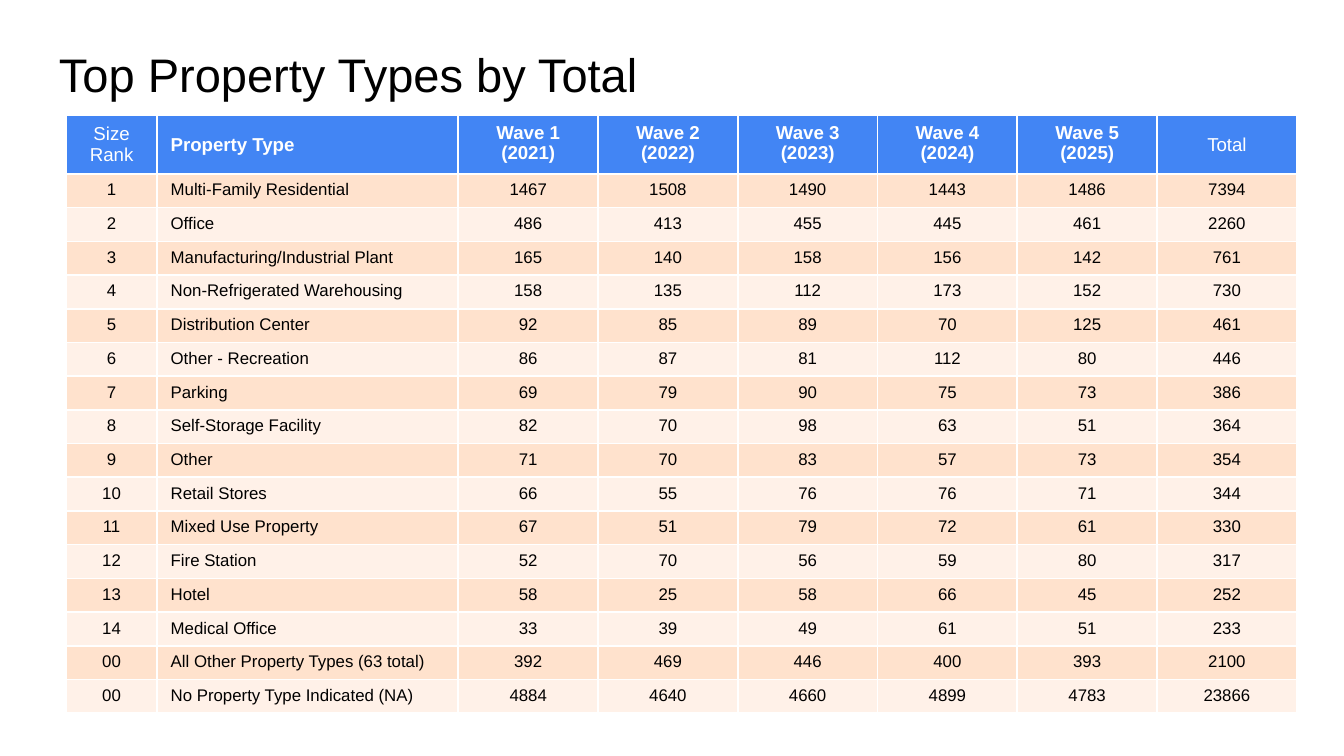
from pptx import Presentation
from pptx.dml.color import RGBColor
from pptx.enum import text
from pptx.util import Inches, Pt

COLORS = {
    "ink": "000000",
    "white": "FFFFFF",
    "header": "4285F4",
    "band_dark": "FFE2CD",
    "band_light": "FFF1E8",
}
FONT = "Arial"
WAVES = [f"Wave {number} ({2020 + number})" for number in range(1, 6)]
HEADERS = ["Size Rank", "Property Type", *WAVES, "Total"]
PLAIN_HEADERS = ("Size Rank", "Total")
COLUMN_WIDTHS = [0.68, 2.24] + [1.04] * 6
ROW_HEIGHT = 0.2
PROPERTY_COUNTS = [
    ("1", "Multi-Family Residential", 1467, 1508, 1490, 1443, 1486),
    ("2", "Office", 486, 413, 455, 445, 461),
    ("3", "Manufacturing/Industrial Plant", 165, 140, 158, 156, 142),
    ("4", "Non-Refrigerated Warehousing", 158, 135, 112, 173, 152),
    ("5", "Distribution Center", 92, 85, 89, 70, 125),
    ("6", "Other - Recreation", 86, 87, 81, 112, 80),
    ("7", "Parking", 69, 79, 90, 75, 73),
    ("8", "Self-Storage Facility", 82, 70, 98, 63, 51),
    ("9", "Other", 71, 70, 83, 57, 73),
    ("10", "Retail Stores", 66, 55, 76, 76, 71),
    ("11", "Mixed Use Property", 67, 51, 79, 72, 61),
    ("12", "Fire Station", 52, 70, 56, 59, 80),
    ("13", "Hotel", 58, 25, 58, 66, 45),
    ("14", "Medical Office", 33, 39, 49, 61, 51),
    ("00", "All Other Property Types (63 total)", 392, 469, 446, 400, 393),
    ("00", "No Property Type Indicated (NA)", 4884, 4640, 4660, 4899, 4783),
]


def write_text(frame, words, size=9, color="ink", bold=False, align=text.PP_ALIGN.LEFT):
    para = frame.paragraphs[0]
    para.alignment = align
    span = para.add_run()
    span.text = words
    span.font.name = FONT
    span.font.size = Pt(size)
    span.font.bold = bold
    span.font.color.rgb = RGBColor.from_string(COLORS[color])


class SlideBuilder:
    def __init__(self, page):
        self.page = page

    def title(self, words, left, top, width, height):
        box = self.page.shapes.add_textbox(
            Inches(left), Inches(top), Inches(width), Inches(height)
        )
        frame = box.text_frame
        frame.word_wrap = True
        frame.vertical_anchor = text.MSO_ANCHOR.BOTTOM
        frame.margin_left = frame.margin_right = Inches(0.1)
        frame.margin_top = frame.margin_bottom = Inches(0.1)
        write_text(frame, words, size=25.2)

    def table(self, rows, left, top):
        table = self.page.shapes.add_table(
            len(rows), len(COLUMN_WIDTHS), Inches(left), Inches(top),
            Inches(sum(COLUMN_WIDTHS)), Inches(ROW_HEIGHT * len(rows)),
        ).table
        table.horz_banding = False
        for column, width in zip(table.columns, COLUMN_WIDTHS):
            column.width = Inches(width)
        for row_index, values in enumerate(rows):
            table.rows[row_index].height = Inches(ROW_HEIGHT)
            for column_index, value in enumerate(values):
                self.cell(table.cell(row_index, column_index), str(value), row_index, column_index)

    def cell(self, cell, words, row_index, column_index):
        is_header = row_index == 0
        band = "band_dark" if row_index % 2 else "band_light"
        cell.fill.solid()
        cell.fill.fore_color.rgb = RGBColor.from_string(COLORS["header" if is_header else band])
        cell.margin_left = cell.margin_right = Inches(0.1)
        cell.margin_top = cell.margin_bottom = Inches(0.05)
        if is_header and words not in WAVES:
            cell.vertical_anchor = text.MSO_ANCHOR.MIDDLE
        write_text(
            cell.text_frame,
            words,
            size=10 if is_header else 9,
            color="white" if is_header else "ink",
            bold=is_header and words not in PLAIN_HEADERS,
            align=text.PP_ALIGN.LEFT if column_index == 1 else text.PP_ALIGN.CENTER,
        )


def main():
    deck = Presentation()
    deck.slide_width, deck.slide_height = Inches(10), Inches(10 * 9 / 16)
    builder = SlideBuilder(deck.slides.add_slide(deck.slide_layouts[6]))
    builder.title("Top Property Types by Total", 0.34, 0.23, 9.32, 0.63)
    body = [(*counts, sum(counts[2:])) for counts in PROPERTY_COUNTS]
    builder.table([HEADERS, *body], 0.49, 0.86)
    deck.save("out.pptx")


if __name__ == "__main__":
    main()
